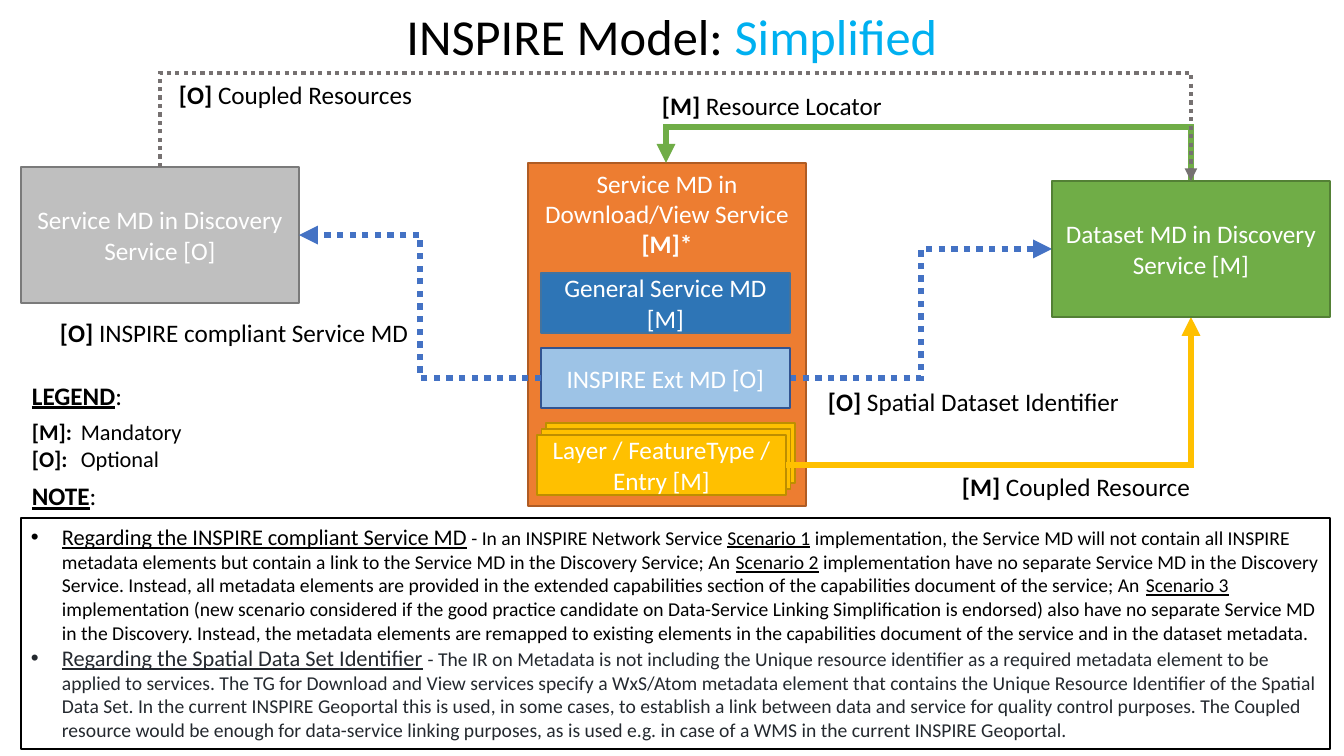
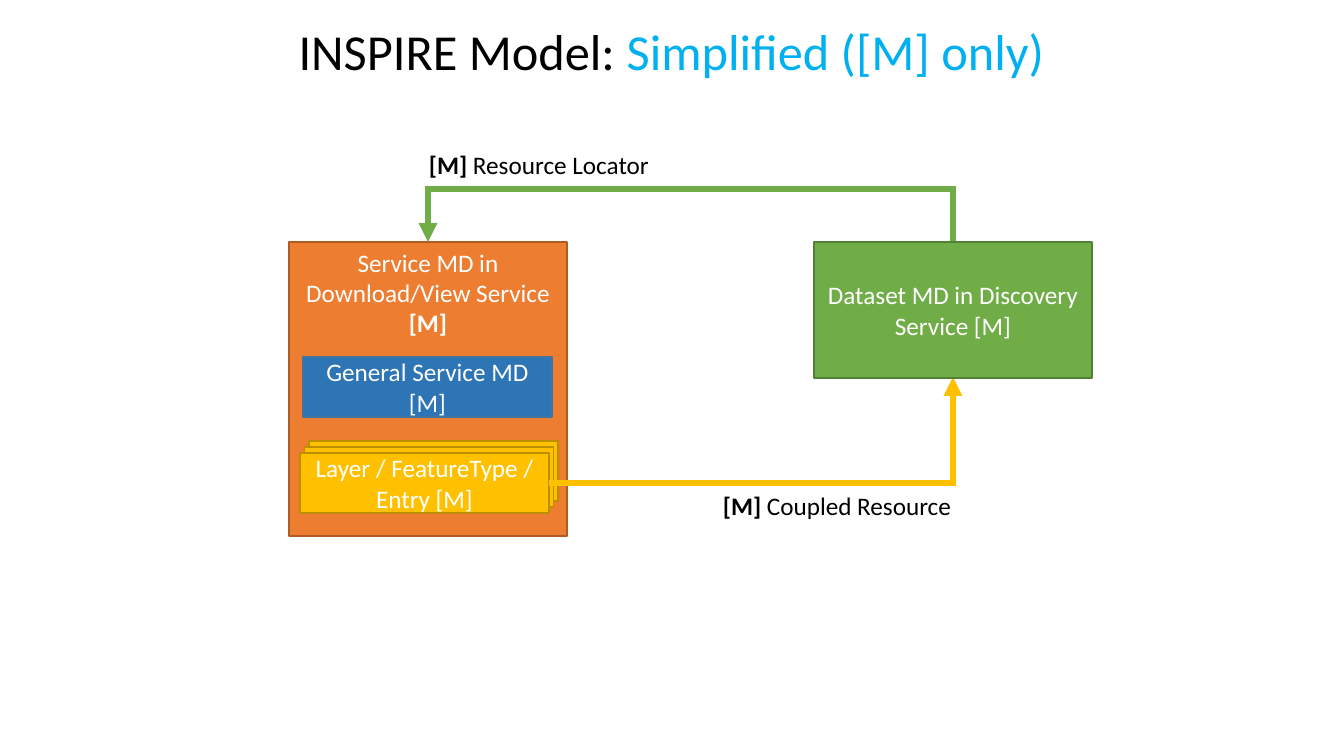
from dataclasses import dataclass
from typing import Optional

from lxml.etree import SubElement
from pptx import Presentation
from pptx.dml.color import RGBColor
from pptx.enum.dml import MSO_LINE
from pptx.enum.shapes import MSO_CONNECTOR, MSO_SHAPE
from pptx.enum.text import MSO_ANCHOR, MSO_AUTO_SIZE, PP_ALIGN
from pptx.oxml.ns import qn
from pptx.util import Pt

PIXEL = 914400 / 100.8
BOX_SIZE = (278, 136)
PART_SIZE = (249, 60)


@dataclass(frozen=True)
class Theme:
    font: str = "Calibri"
    title_size: int = 36
    body_size: int = 18
    lead_size: int = 16
    note_size: int = 14
    black: str = "000000"
    white: str = "FFFFFF"
    ink: str = "24292F"
    accent: str = "00B0F0"
    link_blue: str = "4472C4"
    link_grey: str = "767171"
    grey: tuple = ("BFBFBF", "7A7A7A")
    orange: tuple = ("ED7D31", "AF5C24")
    yellow: tuple = ("FFC000", "BD8E00")
    green: tuple = ("70AD47", "538035")
    blue: tuple = ("2E75B6", "43739E")
    light_blue: tuple = ("9DC3E6", "325491")
    paper: tuple = ("FFFFFF", "000000")


@dataclass
class Span:
    text: str
    bold: Optional[bool] = None
    underline: Optional[bool] = None
    size: Optional[int] = None
    colour: Optional[str] = None


@dataclass
class Line:
    spans: list
    size: int = Theme.body_size
    colour: str = Theme.black
    align: PP_ALIGN = PP_ALIGN.LEFT
    hang: int = 0
    bullet: bool = False
    before: int = 0
    after: int = 0


def px(length):
    return round(length * PIXEL)


class Sketch:
    """Draws styled elements on the current slide."""

    def __init__(self, theme):
        self.theme = theme
        self.deck = Presentation()
        self.deck.slide_width, self.deck.slide_height = px(1344), px(756)
        self.page = None

    def new_page(self):
        self.page = self.deck.slides.add_slide(self.deck.slide_layouts[6])

    def fill_frame(self, frame, lines):
        for index, line in enumerate(lines):
            para = frame.add_paragraph() if index else frame.paragraphs[0]
            para.alignment = line.align
            if line.hang:
                props = para._p.get_or_add_pPr()
                props.set("marL", str(px(line.hang)))
                props.set("indent", str(-px(line.hang)))
                if line.bullet:
                    SubElement(props, qn("a:buFont")).set("typeface", "Arial")
                    SubElement(props, qn("a:buChar")).set("char", "•")
            para.space_before, para.space_after = Pt(line.before), Pt(line.after)
            para.font.name = self.theme.font
            para.font.size = Pt(line.size)
            para.font.color.rgb = RGBColor.from_string(line.colour)
            for span in line.spans:
                run = para.add_run()
                run.text = span.text
                if span.bold:
                    run.font.bold = True
                if span.underline:
                    run.font.underline = True
                if span.size:
                    run.font.size = Pt(span.size)
                if span.colour:
                    run.font.color.rgb = RGBColor.from_string(span.colour)

    def box(self, left, top, size, paint, lines=(), anchor=MSO_ANCHOR.MIDDLE, parent=None):
        shapes = (parent or self.page).shapes
        box = shapes.add_shape(MSO_SHAPE.RECTANGLE, *map(px, (left, top, *size)))
        fill, edge = paint
        box.shadow.inherit = False
        box.fill.solid()
        box.fill.fore_color.rgb = RGBColor.from_string(fill)
        box.line.color.rgb = RGBColor.from_string(edge)
        box.line.width = Pt(1)
        box.text_frame.word_wrap = True
        box.text_frame.vertical_anchor = anchor
        self.fill_frame(box.text_frame, lines)

    def caption(self, *spans):
        return [Line(list(spans), colour=self.theme.white, align=PP_ALIGN.CENTER)]

    def text(self, left, top, width, height, lines, wrap=False):
        box = self.page.shapes.add_textbox(*map(px, (left, top, width, height)))
        box.text_frame.word_wrap = wrap
        box.text_frame.auto_size = MSO_AUTO_SIZE.SHAPE_TO_FIT_TEXT
        self.fill_frame(box.text_frame, lines)

    def label(self, left, top, width, mark, words):
        self.text(left, top, width, 40, [Line([Span(mark, bold=True), Span(" " + words)])])

    def title(self, left, top, width, ending):
        spans = [Span("INSPIRE Model: "), Span(ending, colour=self.theme.accent)]
        line = Line(spans, size=self.theme.title_size, align=PP_ALIGN.CENTER)
        self.text(left, top, width, 71, [line])

    def service(self, left, top, height, mark):
        lines = self.caption(Span("Service MD in Download/View Service "), Span(mark, bold=True))
        self.box(left, top, (BOX_SIZE[0], height), self.theme.orange, lines, MSO_ANCHOR.TOP)

    def dataset(self, left, top):
        lines = self.caption(Span("Dataset MD in Discovery Service [M]"))
        self.box(left, top, BOX_SIZE, self.theme.green, lines)

    def general(self, left, top):
        lines = self.caption(Span("General Service MD [M]"))
        self.box(left, top, PART_SIZE, self.theme.blue, lines)

    def layers(self, left, top):
        group = self.page.shapes.add_group_shape()
        front = self.caption(Span("Layer / FeatureType / Entry [M]"))
        for depth in (2, 1, 0):
            lines = () if depth else front
            self.box(left + 4.5 * depth, top - 6 * depth, PART_SIZE, self.theme.yellow,
                     lines, parent=group)

    def elbow(self, start, end, colour, via=None, upright=False, width=4.5, dotted=False, head=True):
        run, rise = end[0] - start[0], end[1] - start[1]
        if upright:
            turn, flip_h, flip_v = 270, rise > 0, run < 0
            across, down = abs(rise), abs(run)
        else:
            turn, flip_h, flip_v = 180 if run < 0 else 0, False, (rise < 0) != (run < 0)
            across, down = abs(run), abs(rise)
        left = (start[0] + end[0] - across) / 2
        top = (start[1] + end[1] - down) / 2
        corners = map(px, (left, top, left + across, top + down))
        link = self.page.shapes.add_connector(MSO_CONNECTOR.ELBOW, *corners)
        props = link._element.spPr
        frame = props.find(qn("a:xfrm"))
        frame.set("rot", str(turn * 60000))
        frame.set("flipH", str(int(flip_h)))
        frame.set("flipV", str(int(flip_v)))
        shape = props.find(qn("a:prstGeom"))
        if via is None:
            shape.set("prst", "bentConnector2")
        else:
            axis = int(upright)
            share = (via - start[axis]) / (end[axis] - start[axis])
            guide = SubElement(shape.find(qn("a:avLst")), qn("a:gd"))
            guide.set("name", "adj1")
            guide.set("fmla", f"val {round(share * 100000)}")
        link.line.color.rgb = RGBColor.from_string(colour)
        link.line.width = Pt(width)
        if dotted:
            link.line.dash_style = MSO_LINE.ROUND_DOT
        stroke = props.find(qn("a:ln"))
        SubElement(stroke, qn("a:miter")).set("lim", "800000")
        if head:
            SubElement(stroke, qn("a:tailEnd")).set("type", "triangle")
        SubElement(props, qn("a:effectLst"))


def full_model(sketch):
    theme = sketch.theme
    sketch.new_page()
    sketch.box(21, 167, BOX_SIZE, theme.grey,
               sketch.caption(Span("Service MD in Discovery Service [O]")))
    sketch.service(528, 163, 343, "[M]*")
    sketch.elbow((790, 378), (1052, 249), theme.link_blue, via=921, dotted=True)
    sketch.elbow((1191, 181), (666, 163), theme.green[0], via=127, upright=True)
    sketch.layers(537, 435)
    sketch.box(541, 348, PART_SIZE, theme.light_blue, sketch.caption(Span("INSPIRE Ext MD [O]")))
    sketch.elbow((786, 465), (1191, 317), theme.yellow[0])
    sketch.label(652, 85, 243, "[M]", "Resource Locator")
    sketch.label(952, 466, 252, "[M]", "Coupled Resource")
    sketch.label(818, 381, 316, "[O]", "Spatial Dataset Identifier")
    sketch.dataset(1052, 181)
    sketch.title(394, 0, 556, "Simplified")
    compliant = [
        Span("Regarding the INSPIRE compliant Service MD", underline=True, size=theme.lead_size),
        Span(" - In an INSPIRE Network Service "),
        Span("Scenario 1", underline=True),
        Span(" implementation, the Service MD will not contain all INSPIRE metadata elements but "
             "contain a link to the Service MD in the Discovery Service; An "),
        Span("Scenario 2", underline=True),
        Span(" implementation have no separate Service MD in the Discovery Service. Instead, all "
             "metadata elements are provided in the extended capabilities section of the "
             "capabilities document of the service; An "),
        Span("Scenario 3", underline=True),
        Span(" implementation (new scenario considered if the good practice candidate on "
             "Data-Service Linking Simplification is endorsed) also have no separate Service MD "
             "in the Discovery. Instead, the metadata elements are remapped to existing elements "
             "in the capabilities document of the service and in the dataset metadata."),
    ]
    identifier = [
        Span("Regarding the Spatial Data Set Identifier", underline=True, size=theme.lead_size),
        Span(" ", size=theme.lead_size),
        Span("- The IR on Metadata is not including the Unique resource identifier as a required "
             "metadata element to be applied to services. The TG for Download and View services "
             "specify a WxS/Atom metadata element that contains the Unique Resource Identifier of "
             "the Spatial Data Set. In the current INSPIRE Geoportal this is used, in some cases, "
             "to establish a link between data and service for quality control purposes. The "
             "Coupled resource would be enough for data-service linking purposes, as is used e.g. "
             "in case of a WMS in the current INSPIRE Geoportal."),
    ]
    notes = [Line(spans, size=theme.note_size, colour=colour, hang=31, bullet=True)
             for spans, colour in ((compliant, theme.black), (identifier, theme.ink))]
    sketch.box(21, 518, (1309, 231), theme.paper, notes, MSO_ANCHOR.TOP)
    sketch.general(541, 273)
    sketch.label(50, 312, 373, "[O]", "INSPIRE compliant Service MD")
    sketch.elbow((541, 378), (299, 235), theme.link_blue, via=420, dotted=True)
    sketch.elbow((160, 167), (1191, 181), theme.link_grey, via=73, upright=True, width=3, dotted=True)
    sketch.label(169, 74, 266, "[O]", "Coupled Resources")
    keys = [Line([Span(mark + "\t", bold=True), Span(meaning)], size=theme.lead_size, hang=49)
            for mark, meaning in (("[M]:", "Mandatory"), ("[O]:", "Optional"))]
    legend, note = ([Span(word, bold=True, underline=True), Span(":")] for word in ("LEGEND", "NOTE"))
    sketch.text(22, 375, 269, 142,
                [Line(legend, after=6), *keys, Line(note, hang=49, before=6, after=6)], wrap=True)


def mandatory_model(sketch):
    theme = sketch.theme
    sketch.new_page()
    sketch.service(289, 242, 294, "[M]")
    sketch.elbow((953, 242), (676, 189), theme.green[0], upright=True, head=False)
    sketch.layers(300, 453)
    sketch.elbow((549, 483), (953, 377), theme.yellow[0])
    sketch.label(419, 144, 243, "[M]", "Resource Locator")
    sketch.label(713, 485, 252, "[M]", "Coupled Resource")
    sketch.dataset(814, 242)
    sketch.title(285, 15, 773, "Simplified ([M] only)")
    sketch.general(303, 357)
    sketch.elbow((676, 189), (428, 242), theme.green[0])


sketch = Sketch(Theme())
full_model(sketch)
mandatory_model(sketch)
sketch.deck.save("out.pptx")
